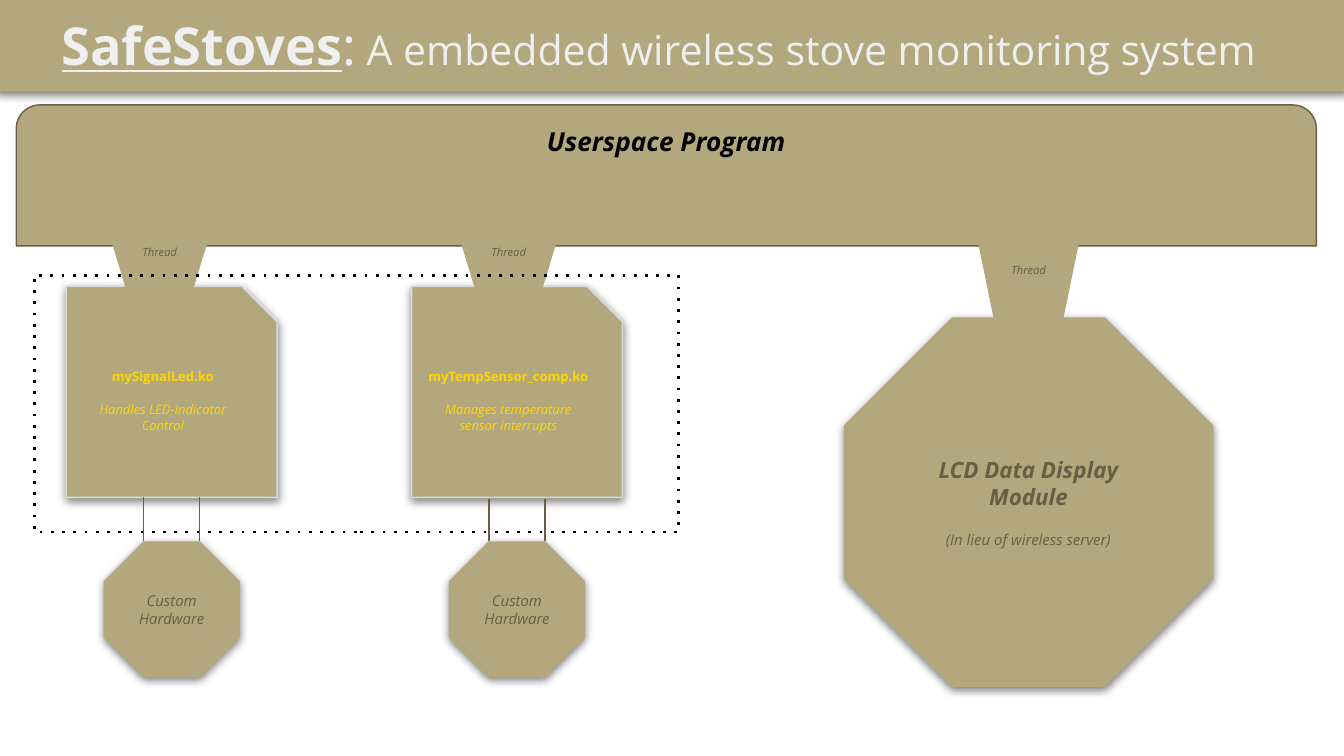
from lxml.etree import SubElement
from pptx import Presentation
from pptx.dml.color import RGBColor
from pptx.enum.dml import MSO_LINE
from pptx.enum.shapes import MSO_CONNECTOR, MSO_SHAPE
from pptx.enum.text import MSO_ANCHOR, PP_ALIGN
from pptx.oxml.ns import qn
from pptx.util import Pt

SAND = RGBColor(0xB3, 0xA7, 0x7D)
BROWN = RGBColor(0x69, 0x5D, 0x46)
GOLD = RGBColor(0xFF, 0xD7, 0x00)
BLACK = RGBColor(0x00, 0x00, 0x00)
LIGHT_GRAY = RGBColor(0xD9, 0xD9, 0xD9)
OFF_WHITE = RGBColor(0xEF, 0xEF, 0xEF)


class Diagram:
    """Draws styled elements, measured in points, on one slide."""

    font = "Open Sans"
    inset = 7.2

    def __init__(self, slide):
        self.shapes = slide.shapes

    def style_run(self, run, size, color, bold=False, italic=False, underline=False):
        font = run.font
        font.name, font.size, font.color.rgb = self.font, Pt(size), color
        font.bold, font.italic, font.underline = bold, italic, underline

    def prepare_frame(self, frame, anchor, inset):
        frame.word_wrap = True
        frame.vertical_anchor = anchor
        frame.margin_left = frame.margin_right = Pt(inset)
        frame.margin_top = frame.margin_bottom = Pt(inset)

    def box(self, kind, left, top, width, height, fill=SAND, line=None, weight=0.75, adjust=()):
        box = self.shapes.add_shape(kind, Pt(left), Pt(top), Pt(width), Pt(height))
        box.shadow.inherit = False
        for index, value in enumerate(adjust):
            box.adjustments[index] = value
        if fill is None:
            box.fill.background()
        else:
            box.fill.solid()
            box.fill.fore_color.rgb = fill
        if line is None:
            box.line.fill.background()
        else:
            box.line.color.rgb = line
            box.line.width = Pt(weight)
        return box

    def cast_shadow(self, box, blur=4.5, distance=1.5):
        effects = box.element.spPr.find(qn("a:effectLst"))
        shadow = SubElement(effects, qn("a:outerShdw"), blurRad=str(Pt(blur)),
                            dist=str(Pt(distance)), dir="5400000", algn="bl", rotWithShape="0")
        color = SubElement(shadow, qn("a:srgbClr"), val=str(BLACK))
        SubElement(color, qn("a:alpha"), val="50000")

    def label(self, box, paragraphs, color, anchor=MSO_ANCHOR.MIDDLE, inset=inset, gap=0):
        frame = box.text_frame
        self.prepare_frame(frame, anchor, inset)
        frame.text = "\n".join(text for text, *_ in paragraphs)
        for index, (paragraph, (_, size, bold, italic)) in enumerate(
                zip(frame.paragraphs, paragraphs)):
            paragraph.alignment = PP_ALIGN.CENTER
            if index:
                paragraph.space_before = Pt(gap)
            self.style_run(paragraph.runs[0], size, color, bold, italic)

    def title(self, name, tagline):
        header = self.box(MSO_SHAPE.RECTANGLE, -2, -6, 724, 55)
        self.cast_shadow(header)
        heading = self.shapes.add_textbox(Pt(26), Pt(0), Pt(668), Pt(46))
        self.prepare_frame(heading.text_frame, MSO_ANCHOR.TOP, self.inset)
        paragraph = heading.text_frame.paragraphs[0]
        for text, size, strong in ((name, 28, True), (":", 28, False), (tagline, 22, False)):
            run = paragraph.add_run()
            run.text = text
            self.style_run(run, size, OFF_WHITE, bold=strong, underline=strong)

    def module(self, left, name, duty):
        card = self.box(MSO_SHAPE.SNIP_1_RECTANGLE, left, 153.5, 113, 113,
                        line=LIGHT_GRAY, weight=0.81, adjust=(0.167,))
        self.cast_shadow(card, 4.9, 1.6)
        self.label(card, [(name, 7, True, False), (duty, 7, False, True)], GOLD, inset=7.9, gap=9.5)

    def octagon(self, left, top, size, paragraphs, gap=0):
        octagon = self.box(MSO_SHAPE.OCTAGON, left, top, size, size, adjust=(0.293,))
        self.cast_shadow(octagon)
        self.label(octagon, paragraphs, BROWN, gap=gap)

    def wire(self, x, bottom, top):
        wire = self.shapes.add_connector(MSO_CONNECTOR.STRAIGHT, Pt(x), Pt(bottom), Pt(x), Pt(top))
        wire.line.color.rgb = BROWN
        wire.line.width = Pt(0.75)
        SubElement(wire.element.spPr, qn("a:effectLst"))

    def userspace(self):
        program = self.box(MSO_SHAPE.ROUND_2_SAME_RECTANGLE, 8.7, 56.2, 696.5, 75.5,
                           line=BROWN, adjust=(0.167, 0))
        self.label(program, [("Userspace Program", 14, True, True)], BLACK, MSO_ANCHOR.TOP)

    def thread(self, left, height, width=60):
        thread = self.box(MSO_SHAPE.FLOWCHART_MANUAL_OPERATION, left, 115.5, width, height)
        self.label(thread, [("Thread", 6, False, True)], BROWN)

    def dotted_frame(self, left, top, width, height):
        frame = self.box(MSO_SHAPE.RECTANGLE, left, top, width, height,
                         fill=None, line=BLACK, weight=1.5)
        frame.line.dash_style = MSO_LINE.ROUND_DOT
        frame.element.spPr.find(f".//{qn('a:prstDash')}").set("val", "dot")


def main():
    presentation = Presentation()
    presentation.slide_width, presentation.slide_height = Pt(720), Pt(405)
    diagram = Diagram(presentation.slides.add_slide(presentation.slide_layouts[6]))

    diagram.title("SafeStoves", " A embedded wireless stove monitoring system")
    modules = (
        ("mySignalLed.ko", "Handles LED-Indicator Control"),
        ("myTempSensor_comp.ko", "Manages temperature sensor interrupts"),
    )
    for column, (name, duty) in enumerate(modules):
        left = 35.5 + 185 * column
        diagram.module(left, name, duty)
        diagram.octagon(left + 20, 290, 73, [("Custom Hardware", 8, False, True)])
        for offset in (41.5, 71.5):
            diagram.wire(left + offset, 290, 266.5 + column)

    diagram.userspace()
    for thread_left in (55.5, 242.5):
        diagram.thread(thread_left, 39.5)
    diagram.dotted_frame(18.5, 147.5, 345, 137.5)
    diagram.octagon(452, 170, 198, [
        ("LCD Data Display Module", 12, True, True),
        ("(In lieu of wireless server)", 8, False, True),
    ], gap=10.9)
    diagram.thread(521, 58.5)
    presentation.save("out.pptx")


if __name__ == "__main__":
    main()
